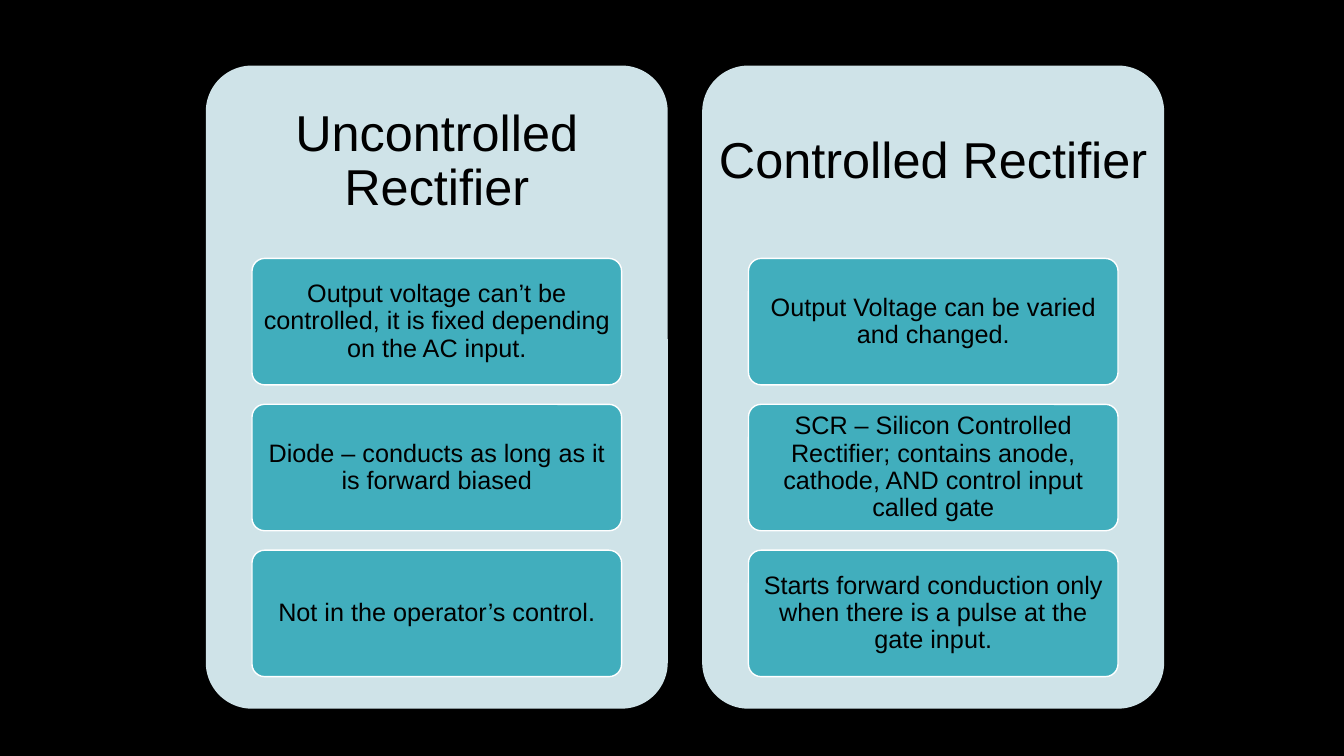
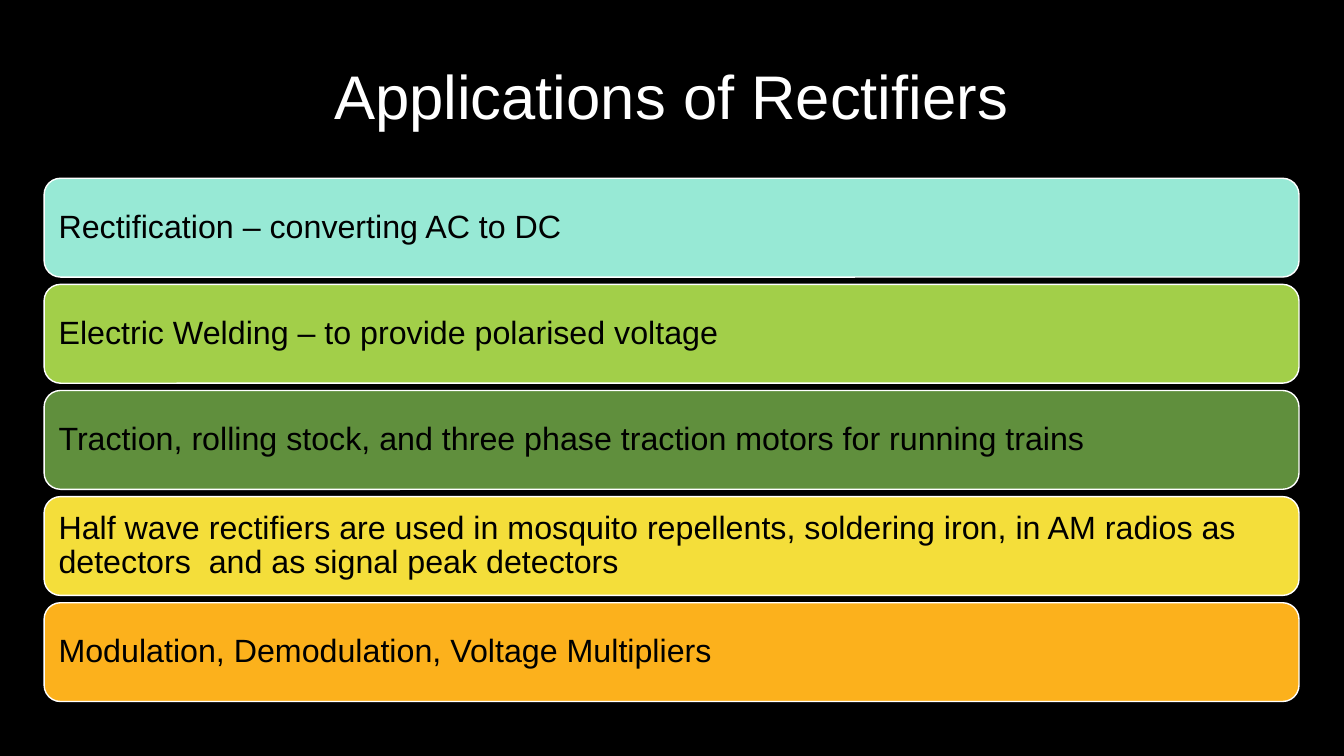
from pptx import Presentation
from pptx.dml.color import RGBColor
from pptx.enum import shapes, text
from pptx.util import Pt

BLACK = RGBColor(0x00, 0x00, 0x00)
WHITE = RGBColor(0xFF, 0xFF, 0xFF)
PANEL = RGBColor(0xCF, 0xE3, 0xE8)
CARD = RGBColor(0x41, 0xAE, 0xBD)
MINT = RGBColor(0x97, 0xE9, 0xD5)
LIME = RGBColor(0xA2, 0xCF, 0x49)
GREEN = RGBColor(0x60, 0x8F, 0x3D)
YELLOW = RGBColor(0xF4, 0xDE, 0x3A)
ORANGE = RGBColor(0xFC, 0xB1, 0x1C)

FONT = "Arial"
CENTER, LEFT = text.PP_ALIGN.CENTER, text.PP_ALIGN.LEFT
MIDDLE, BOTTOM = text.MSO_ANCHOR.MIDDLE, text.MSO_ANCHOR.BOTTOM

COMPARISON = [
    ("Uncontrolled Rectifier", [
        "Output voltage can’t be controlled, it is fixed depending on the AC input.",
        "Diode – conducts as long as it is forward biased",
        "Not in the operator’s control.",
    ]),
    ("Controlled Rectifier", [
        "Output Voltage can be varied and changed.",
        "SCR – Silicon Controlled Rectifier; contains anode, cathode, AND control input called gate",
        "Starts forward conduction only when there is a pulse at the gate input.",
    ]),
]

APPLICATIONS = [
    ("Rectification – converting AC to DC", MINT),
    ("Electric Welding – to provide polarised voltage", LIME),
    ("Traction, rolling stock, and three phase traction motors for running trains", GREEN),
    ("Half wave rectifiers are used in mosquito repellents, soldering iron, "
     "in AM radios as detectors  and as signal peak detectors", YELLOW),
    ("Modulation, Demodulation, Voltage Multipliers", ORANGE),
]


# Shared parts
def add_slide(presentation):
    slide = presentation.slides.add_slide(presentation.slide_layouts[6])
    slide.background.fill.solid()
    slide.background.fill.fore_color.rgb = BLACK
    return slide


def write(shape, words, size, color=BLACK, align=CENTER, anchor=MIDDLE,
          margins=(7.2, 3.6), spacing=0.9):
    frame = shape.text_frame
    frame.word_wrap = True
    frame.vertical_anchor = anchor
    frame.margin_left = frame.margin_right = Pt(margins[0])
    frame.margin_top = frame.margin_bottom = Pt(margins[1])
    paragraph = frame.paragraphs[0]
    paragraph.text = words
    paragraph.alignment = align
    paragraph.line_spacing = spacing
    paragraph.font.name = FONT
    paragraph.font.size = Pt(size)
    paragraph.font.color.rgb = color


def add_rounded(slide, box, fill, corner, outlined=True):
    shape = slide.shapes.add_shape(
        shapes.MSO_SHAPE.ROUNDED_RECTANGLE, *map(Pt, box))
    shape.shadow.inherit = False
    shape.adjustments[0] = corner
    shape.fill.solid()
    shape.fill.fore_color.rgb = fill
    if outlined:
        shape.line.color.rgb = WHITE
        shape.line.width = Pt(1)
    else:
        shape.line.fill.background()
    return shape


def add_text(slide, box, words, size, **style):
    write(slide.shapes.add_textbox(*map(Pt, box)), words, size, **style)


# Panel with a heading over a stack of cards
def add_panel(slide, box, heading, cards):
    left, top, width, height = box
    add_rounded(slide, box, PANEL, 0.1, outlined=False)
    heading_height = 0.3 * height
    add_text(slide, (left, top, width, heading_height), heading, 36,
             margins=(10.8, 10.8))

    card_height, gap = 90.3, 13.9
    for index, words in enumerate(cards):
        card_top = top + heading_height + index * (card_height + gap)
        card = add_rounded(
            slide, (left + 0.1 * width, card_top, 0.8 * width, card_height), CARD, 0.1)
        write(card, words, 18, margins=(3.6, 2.7))


# Full-width coloured rows
def add_rows(slide, box, rows, gap):
    left, top, width, height = box
    row_height = (height - gap * (len(rows) - 1)) / len(rows)
    for index, (words, fill) in enumerate(rows):
        row_top = top + index * (row_height + gap)
        row = add_rounded(slide, (left, row_top, width, row_height), fill, 0.1667)
        write(row, words, 23, align=LEFT, margins=(6.9, 6.9))


def build_comparison(presentation):
    slide = add_slide(presentation)
    for index, (heading, cards) in enumerate(COMPARISON):
        add_panel(slide, (147 + index * 354.6, 46.8, 330, 459.4), heading, cards)


def build_applications(presentation):
    slide = add_slide(presentation)
    add_rows(slide, (31.5, 127.3, 896.4, 373.8), APPLICATIONS, gap=5.2)
    add_text(slide, (31.5, 37.5, 896.4, 60.5), "Applications of Rectifiers", 44,
             color=WHITE, anchor=BOTTOM, spacing=1.0)


def main():
    presentation = Presentation()
    presentation.slide_width, presentation.slide_height = Pt(960), Pt(540)
    build_comparison(presentation)
    build_applications(presentation)
    presentation.save("out.pptx")


if __name__ == "__main__":
    main()
